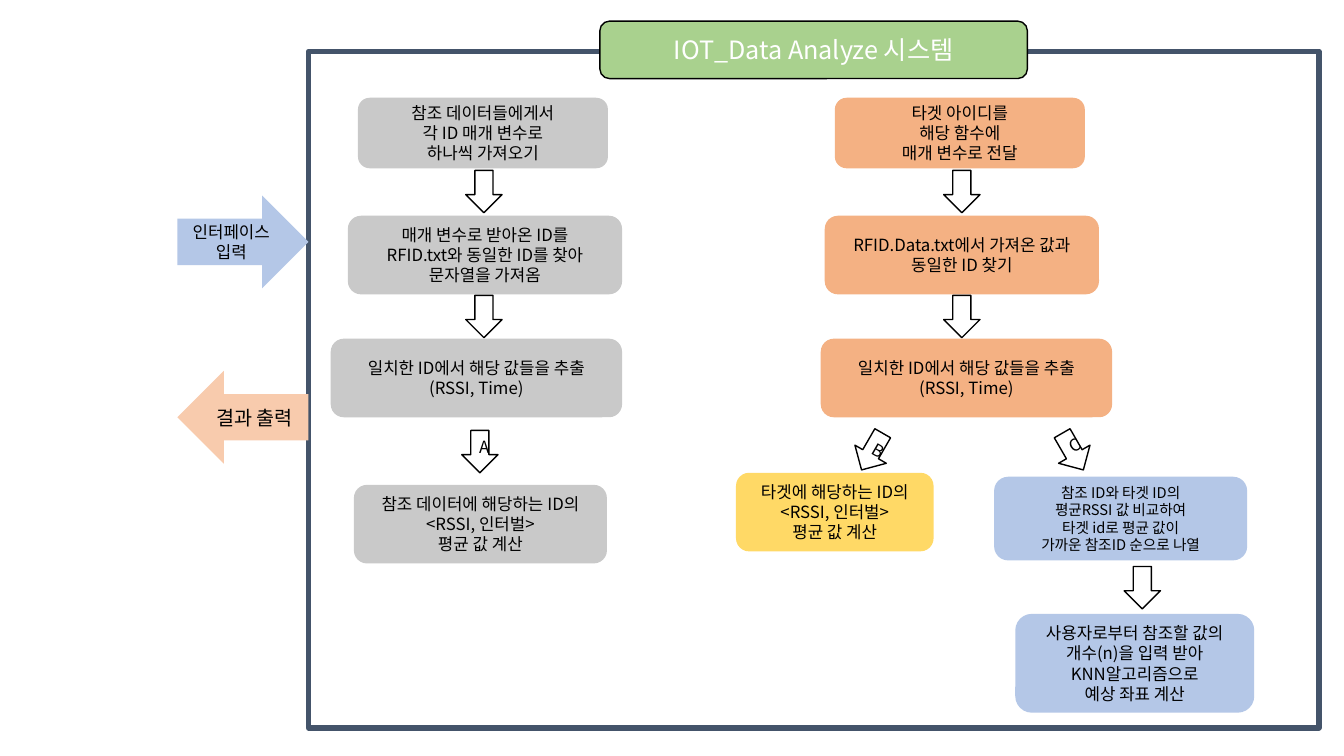
from pptx import Presentation
from pptx.dml.color import RGBColor
from pptx.enum.shapes import MSO_SHAPE
from pptx.enum.text import MSO_ANCHOR, PP_ALIGN
from pptx.oxml.ns import qn
from pptx.util import Pt
from lxml import etree

PX = 9144
FONT = "Noto Sans CJK KR"
RECTANGLE = MSO_SHAPE.RECTANGLE
ROUNDED = MSO_SHAPE.ROUNDED_RECTANGLE
DOWN = MSO_SHAPE.DOWN_ARROW
RIGHT = MSO_SHAPE.RIGHT_ARROW
LEFT = MSO_SHAPE.LEFT_ARROW
MIDDLE = MSO_ANCHOR.MIDDLE
CENTER = PP_ALIGN.CENTER
BLACK, WHITE = "000000", "FFFFFF"
GRAY, ORANGE, BLUE = "C9C9C9", "F4B183", "B4C7E7"
ARROW_WIDTH, ARROW_HEIGHT = 36, 42


def rgb(value):
    return RGBColor.from_string(value)


def add_block(text, kind, left, top, width, height, fill=None, line=None,
              line_width=1, size=12, color=BLACK, rotation=0):
    shape = slide.shapes.add_shape(kind, left * PX, top * PX, width * PX, height * PX)
    shape.shadow.inherit = False
    shape.rotation = rotation
    if fill:
        shape.fill.solid()
        shape.fill.fore_color.rgb = rgb(fill)
    else:
        shape.fill.background()
    if line:
        shape.line.color.rgb = rgb(line)
        shape.line.width = Pt(line_width)
    else:
        shape.line.fill.background()
    if not text:
        return
    frame = shape.text_frame
    frame.word_wrap = True
    frame.vertical_anchor = MIDDLE
    for index, content in enumerate(text.split("\n")):
        paragraph = frame.paragraphs[0] if index == 0 else frame.add_paragraph()
        paragraph.alignment = CENTER
        run = paragraph.add_run()
        run.text = content
        run.font.name = FONT
        run.font.size = Pt(size)
        run.font.color.rgb = rgb(color)
        east_asian = etree.SubElement(run.font._element, qn("a:ea"))
        east_asian.set("typeface", FONT)


presentation = Presentation()
presentation.slide_width = 1333 * PX
presentation.slide_height = 750 * PX
slide = presentation.slides.add_slide(presentation.slide_layouts[6])

add_block("", RECTANGLE, 306, 51, 1002, 671, line="44546A", line_width=4)
add_block("IOT_Data Analyze 시스템", ROUNDED, 595, 21, 424, 57,
          fill="A9D18E", line=BLACK, size=18, color=WHITE)
add_block("인터페이스\n입력", RIGHT, 176, 194, 130, 92, fill=BLUE)
add_block("결과 출력", LEFT, 176, 368, 130, 92, fill="F8CBAD", size=14)

extract = "일치한 ID에서 해당 값들을 추출\n(RSSI, Time)"
rows = [(97, 248, 70), (214, 272, 78), (336, 289, 78)]
columns = [
    (GRAY, [
        (355, "참조 데이터들에게서\n각 ID 매개 변수로\n하나씩 가져오기"),
        (345, "매개 변수로 받아온 ID를\nRFID.txt와 동일한 ID를 찾아\n문자열을 가져옴"),
        (328, extract),
    ]),
    (ORANGE, [
        (828, "타겟 아이디를\n해당 함수에\n매개 변수로 전달"),
        (818, "RFID.Data.txt에서 가져온 값과\n동일한 ID 찾기"),
        (814, extract),
    ]),
]
for fill, steps in columns:
    for (left, text), (top, width, height) in zip(steps, rows):
        add_block(text, ROUNDED, left, top, width, height, fill=fill)

results = [
    ("참조 데이터에 해당하는 ID의\n<RSSI, 인터벌>\n평균 값 계산", 351, 481, 251, 78, GRAY, 12),
    ("타겟에 해당하는 ID의\n<RSSI, 인터벌>\n평균 값 계산", 730, 469, 196, 78, "FFD966", 12),
    ("참조 ID와 타겟 ID의\n평균RSSI 값 비교하여\n타겟 id로 평균 값이\n가까운 참조ID 순으로 나열",
     986, 473, 251, 83, BLUE, 10.5),
    ("사용자로부터 참조할 값의 개수(n)을 입력 받아\nKNN알고리즘으로\n예상 좌표 계산",
     1007, 609, 237, 98, BLUE, 12),
]
for text, left, top, width, height, fill, size in results:
    add_block(text, ROUNDED, left, top, width, height, fill=fill, size=size)

arrows = [(left, top, "", 0) for left in (462, 936) for top in (169, 293)]
arrows += [(458, 427, "A", 0), (847, 427, "B", 30), (1046, 427, "C", 330), (1115, 562, "", 0)]
for left, top, label, rotation in arrows:
    add_block(label, DOWN, left, top, ARROW_WIDTH, ARROW_HEIGHT, line=BLACK, rotation=rotation)

presentation.save("out.pptx")
